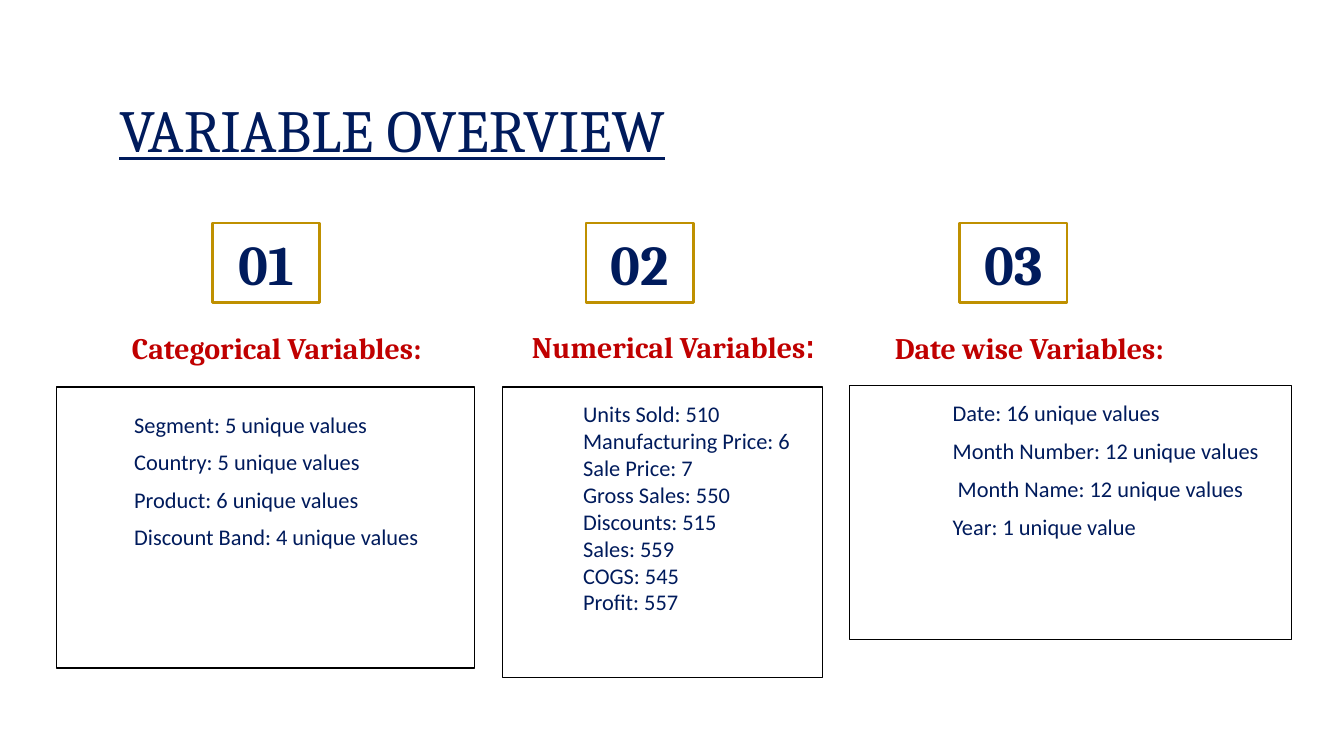
from dataclasses import dataclass

from pptx import Presentation
from pptx.dml.color import RGBColor as RGB
from pptx.enum.shapes import MSO_SHAPE as SHAPE
from pptx.enum.text import MSO_ANCHOR as ANCHOR, PP_ALIGN as ALIGN
from pptx.util import Inches, Pt


@dataclass(frozen=True)
class Theme:
    navy: RGB = RGB(0x00, 0x1B, 0x5C)
    red: RGB = RGB(0xC0, 0x00, 0x00)
    gold: RGB = RGB(0xBF, 0x90, 0x00)
    black: RGB = RGB(0, 0, 0)
    serif: str = "Cambria"
    sans: str = "Calibri"
    narrow: str = "Arial Narrow"
    title: int = 32
    number: int = 30
    colon: int = 18
    heading: int = 16
    body: int = 12


class SlideBuilder:
    def __init__(self, slide, theme):
        self.slide = slide
        self.theme = theme

    def frame(self, shape, anchor):
        text = shape.text_frame
        text.word_wrap = True
        text.vertical_anchor = anchor
        text.margin_left = text.margin_right = Inches(0.1)
        text.margin_top = text.margin_bottom = Inches(0.1)
        return text

    def text_area(self, left, top, width, height, anchor=ANCHOR.TOP):
        area = self.slide.shapes.add_textbox(
            Inches(left), Inches(top), Inches(width), Inches(height))
        return self.frame(area, anchor)

    def outlined_box(self, left, top, width, height, colour, weight, anchor=ANCHOR.TOP):
        box = self.slide.shapes.add_shape(
            SHAPE.RECTANGLE, Inches(left), Inches(top), Inches(width), Inches(height))
        box.shadow.inherit = False
        box.fill.background()
        box.line.color.rgb = colour
        box.line.width = Pt(weight)
        return self.frame(box, anchor)

    def format(self, paragraph, align=ALIGN.LEFT, margin=0, indent=0, line=None, after=0):
        paragraph.alignment = align
        paragraph.space_after = Pt(after)
        if line:
            paragraph.line_spacing = Pt(line)
        properties = paragraph._p.get_or_add_pPr()
        properties.set("marL", str(Inches(margin)))
        properties.set("indent", str(Inches(indent)))

    def run(self, paragraph, words, size, font, colour, bold=False, underline=False):
        run = paragraph.add_run()
        run.text = words
        run.font.size = Pt(size)
        run.font.name = font
        run.font.color.rgb = colour
        run.font.bold = bold
        run.font.underline = underline

    def title(self, words):
        paragraph = self.text_area(0.79, 0.59, 8.43, 0.63).paragraphs[0]
        self.format(paragraph)
        self.run(paragraph, words, self.theme.title, self.theme.serif,
                 self.theme.navy, underline=True)

    def number(self, left, words):
        paragraph = self.outlined_box(left, 1.66, 0.8, 0.59, self.theme.gold, 1.5,
                                      ANCHOR.MIDDLE).paragraphs[0]
        self.format(paragraph, ALIGN.CENTER)
        self.run(paragraph, words, self.theme.number, self.theme.serif,
                 self.theme.navy, bold=True)

    def heading(self, left, width, words, layout, narrow_end=""):
        paragraph = self.text_area(left, 2.31, width, 0.51, ANCHOR.BOTTOM).paragraphs[0]
        self.format(paragraph, **layout)
        self.run(paragraph, words, self.theme.heading, self.theme.serif,
                 self.theme.red, bold=True)
        if narrow_end:
            self.run(paragraph, narrow_end, self.theme.colon, self.theme.narrow,
                     self.theme.red, bold=True)

    def card(self, bounds, variables, layout):
        text = self.outlined_box(*bounds, self.theme.black, 0.75)
        for index, variable in enumerate(variables):
            paragraph = text.add_paragraph() if index else text.paragraphs[0]
            self.format(paragraph, **layout)
            self.run(paragraph, variable, self.theme.body, self.theme.sans, self.theme.navy)


def main():
    # Widescreen page, 16:9
    deck = Presentation()
    deck.slide_width = Inches(10)
    deck.slide_height = Inches(10 * 9 / 16)
    overview = SlideBuilder(deck.slides.add_slide(deck.slide_layouts[6]), Theme())

    overview.title("VARIABLE OVERVIEW")

    # Column headings
    overview.heading(0.41, 3.11, "Categorical Variables:",
                     dict(align=ALIGN.CENTER, margin=0.19, line=20))
    overview.heading(3.25, 3.02, "Numerical Variables",
                     dict(align=ALIGN.CENTER, margin=0.5), narrow_end=":")
    overview.heading(6.39, 3.53, "Date wise Variables:",
                     dict(margin=0.5, indent=-0.33, after=6))

    # Variable lists
    overview.card((0.42, 2.88, 3.11, 2.09), [
        "Segment: 5 unique values",
        "Country: 5 unique values",
        "Product: 6 unique values",
        "Discount Band: 4 unique values",
    ], dict(align=ALIGN.JUSTIFY, margin=0.81, indent=-0.33, line=20))
    overview.card((3.74, 2.88, 2.38, 2.16), [
        "Units Sold: 510",
        "Manufacturing Price: 6",
        "Sale Price: 7",
        "Gross Sales: 550",
        "Discounts: 515",
        "Sales: 559",
        "COGS: 545",
        "Profit: 557",
    ], dict(margin=0.5))
    overview.card((6.32, 2.87, 3.29, 1.89), [
        "Date: 16 unique values",
        "Month Number: 12 unique values",
        " Month Name: 12 unique values",
        "Year: 1 unique value",
    ], dict(margin=1, indent=-0.33, after=6))

    # Column numbers at an equal pitch
    for column in range(3):
        overview.number(1.58 + 2.78 * column, f"{column + 1:02}")

    deck.save("out.pptx")


if __name__ == "__main__":
    main()
